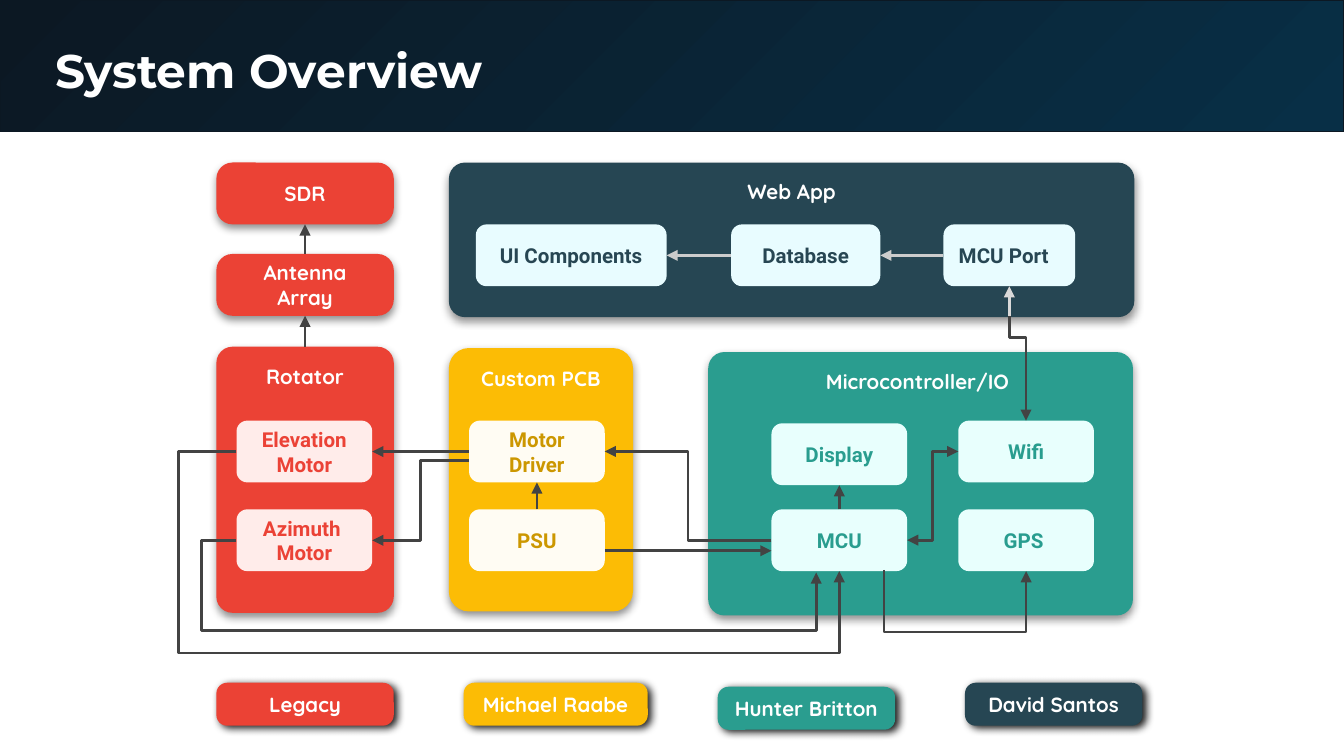
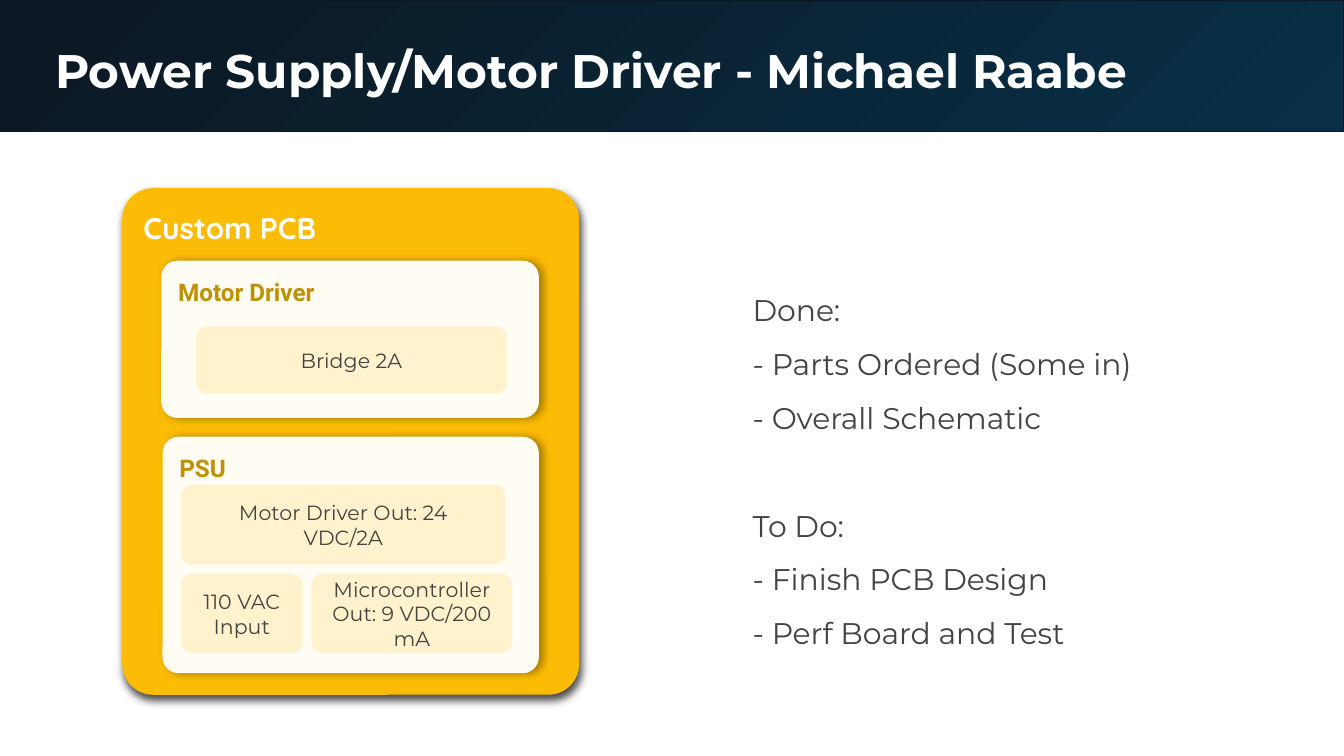
import dataclasses

import pptx
import pptx.dml.color
import pptx.enum.shapes
import pptx.enum.text
import pptx.oxml
import pptx.oxml.ns
import pptx.util

qn = pptx.oxml.ns.qn
NS = pptx.oxml.ns.nsdecls("a")
PP_ALIGN = pptx.enum.text.PP_ALIGN
ANCHOR = pptx.enum.text.MSO_ANCHOR


@dataclasses.dataclass(frozen=True)
class Theme:
    head: str = "Montserrat"
    label: str = "Quicksand"
    node: str = "Roboto"
    title_size: float = 25.2
    large: float = 16
    medium: float = 13
    small: float = 11
    white: str = "FFFFFF"
    grey: str = "434343"
    pale_grey: str = "CCCCCC"
    band_light: str = "082F46"
    band_dark: str = "0C1823"
    chip: str = "FFF2CC"
    gold: str = "BF9000"
    # panel fill, node fill, node text
    red: tuple = ("EB4235", "FFECEA", "EB4236")
    yellow: tuple = ("FCBC05", "FFFCF3", "CC9700")
    teal: tuple = ("2A9D8F", "E8FFFD", "299D8F")
    navy: tuple = ("264653", "E8FCFF", "274653")
    # shadows: opacity %, blur pt, distance pt, angle
    soft: tuple = (43, 4.5, 2.2, 84)
    hard: tuple = (89, 4.5, 2.2, 30)
    deep: tuple = (69, 4.5, 3, 70)
    side: tuple = (35, 4.5, 2.2, 0)


T = Theme()
WIDTH, HEIGHT = 100, 56.25  # grid columns and rows
NODE_W, NODE_H = 10.1, 4.6
PANEL_R, NODE_R = 1.2, 0.8  # corner radii


def cells(n):
    return pptx.util.Inches(n * 10 / WIDTH)


def rgb(value):
    return pptx.dml.color.RGBColor.from_string(value)


@dataclasses.dataclass(frozen=True)
class Box:
    x: float
    y: float
    w: float
    h: float

    def inner(self, x, y, w=NODE_W, h=NODE_H):
        """Box placed relative to this one."""
        return Box(self.x + x, self.y + y, w, h)

    def on(self, fx, fy):
        """Point at shares of this box's width and height."""
        return self.x + fx * self.w, self.y + fy * self.h

    def emu(self):
        return [cells(v) for v in (self.x, self.y, self.w, self.h)]


SLIDE = Box(0, 0, WIDTH, HEIGHT)


# Shared helpers
def write(tf, text, font=T.label, size=T.small, color=T.white, bold=True,
          align=PP_ALIGN.CENTER, anchor=ANCHOR.MIDDLE, inset=0.9,
          spacing=None, indent=None, gaps=None):
    tf.word_wrap = True
    tf.auto_size = pptx.enum.text.MSO_AUTO_SIZE.NONE
    tf.vertical_anchor = anchor
    tf.margin_left = tf.margin_right = cells(inset)
    tf.margin_top = tf.margin_bottom = cells(inset)
    for i, line in enumerate(text.split("\n")):
        p = tf.add_paragraph() if i else tf.paragraphs[0]
        if indent is not None:
            pPr = p._p.get_or_add_pPr()
            pPr.set("marL", str(cells(indent)))
            pPr.set("indent", "0")
            pPr.append(pptx.oxml.parse_xml(f"<a:buNone {NS}/>"))
        p.alignment = align
        p.space_before = pptx.util.Pt((gaps or {}).get(line, 0))
        if spacing:
            p.line_spacing = spacing
        r = p.add_run()
        r.text = line
        r.font.name, r.font.size, r.font.bold = font, pptx.util.Pt(size), bold
        r.font.color.rgb = rgb(color)


def add_shadow(sp, opacity, blur, dist, angle):
    sp._element.spPr.find(qn("a:effectLst")).append(pptx.oxml.parse_xml(
        f'<a:outerShdw {NS} blurRad="{pptx.util.Pt(blur)}" '
        f'dist="{pptx.util.Pt(dist)}" dir="{angle * 60000}" algn="bl" '
        f'rotWithShape="0"><a:srgbClr val="000000">'
        f'<a:alpha val="{opacity * 1000}"/></a:srgbClr></a:outerShdw>'))


def card(s, box, text, fill, radius=NODE_R, shadow=None, **fmt):
    sp = s.shapes.add_shape(
        pptx.enum.shapes.MSO_SHAPE.ROUNDED_RECTANGLE, *box.emu())
    sp.adjustments[0] = radius / min(box.w, box.h)
    sp.fill.solid()
    sp.fill.fore_color.rgb = rgb(fill)
    sp.line.fill.background()
    sp.shadow.inherit = False
    if shadow:
        add_shadow(sp, *shadow)
    write(sp.text_frame, text, **fmt)
    return box


def arrow(s, a, b, turns=None, color=T.grey, both=False, upright=False):
    """Arrow from a to b; turns lists where it bends, x and y in alternation."""
    kinds = pptx.enum.shapes.MSO_CONNECTOR
    (x0, y0), (x1, y1) = a, b
    dx, dy = x1 - x0, y1 - y0
    straight = not turns and min(abs(dx), abs(dy)) < 0.05
    c = s.shapes.add_connector(kinds.STRAIGHT if straight else kinds.ELBOW,
                               *[cells(v) for v in (x0, y0, x1, y1)])
    spPr = c._element.spPr
    if not straight:
        turns = turns or [(x0 + x1) / 2]
        axes = [(y0, dy)] if upright else [(x0, dx), (y0, dy), (x0, dx)]
        geom = spPr.find(qn("a:prstGeom"))
        geom.set("prst", f"bentConnector{len(turns) + 2}")
        guides = "".join(
            f'<a:gd name="adj{i}" fmla="val {round((t - start) / d * 100000)}"/>'
            for i, (t, (start, d)) in enumerate(zip(turns, axes), 1))
        for old in geom.findall(qn("a:avLst")):
            geom.remove(old)
        geom.append(pptx.oxml.parse_xml(f"<a:avLst {NS}>{guides}</a:avLst>"))
    if upright:  # rises first, then shifts left
        w, h = abs(dy), abs(dx)
        c.left, c.top = cells((x0 + x1 - w) / 2), cells((y0 + y1 - h) / 2)
        c.width, c.height = cells(w), cells(h)
        xfrm = spPr.find(qn("a:xfrm"))
        xfrm.set("rot", "5400000")
        xfrm.set("flipH", "1")
        xfrm.set("flipV", "0")
    c.line.width = pptx.util.Pt(1.5)
    c.line.color.rgb = rgb(color)
    ln = spPr.find(qn("a:ln"))
    for end in ["headEnd"] * both + ["tailEnd"]:
        ln.append(pptx.oxml.parse_xml(f'<a:{end} {NS} type="triangle"/>'))
    spPr.append(pptx.oxml.parse_xml(f"<a:effectLst {NS}/>"))


def new_slide(prs, layout, title):
    """Slide with the gradient band and its title."""
    s = prs.slides.add_slide(prs.slide_layouts[layout])
    band = s.shapes.add_shape(pptx.enum.shapes.MSO_SHAPE.RECTANGLE,
                              *SLIDE.inner(0, 0, WIDTH, 9.8).emu())
    band.fill.gradient()
    for stop, color in zip(band.fill.gradient_stops,
                           (T.band_light, T.band_dark)):
        stop.color.rgb = rgb(color)
    grad = band._element.spPr.find(qn("a:gradFill"))
    grad.replace(grad.find(qn("a:lin")), pptx.oxml.parse_xml(
        f'<a:path {NS} path="circle">'
        '<a:fillToRect l="100000" t="100000"/></a:path>'))
    band.line.color.rgb = rgb(T.band_dark)
    band.line.width = pptx.util.Pt(0.75)
    band.shadow.inherit = False
    sp = s.shapes.title
    sp._element.addprevious(band._element)
    sp.left, sp.top, sp.width, sp.height = SLIDE.inner(3.1, 2.1, 93.2, 6.3).emu()
    write(sp.text_frame, title, font=T.head, size=T.title_size,
          align=PP_ALIGN.LEFT, anchor=ANCHOR.TOP, inset=1)
    return s


# System overview
def group(s, box, title, colors, nodes, radius=PANEL_R):
    """Titled panel; each node is a label with its place in the panel."""
    fill, node_fill, ink = colors
    card(s, box, title, fill, radius, T.soft, anchor=ANCHOR.TOP)
    return [card(s, box.inner(*place), text, node_fill, font=T.node, color=ink,
                 align=PP_ALIGN.LEFT if text == "MCU Port" else PP_ALIGN.CENTER)
            for text, place in nodes]


def legend(s, box):
    for text, colors, x, y, w in [
            ("Legacy", T.red, 0, 0, 13.2),
            ("Michael Raabe", T.yellow, 18.4, 0, 13.7),
            ("Hunter Britton", T.teal, 37.3, 0.3, 13.2),
            ("David Santos", T.navy, 55.7, 0, 13.2)]:
        card(s, box.inner(x, y, w, box.h), text, colors[0], shadow=T.hard)


def overview(prs):
    s = new_slide(prs, 5, "System Overview")
    area = SLIDE.inner(16.1, 12.1, 68.3, 33.7)
    row1, row2 = 5.4, 12  # node rows of the board

    # Panels and nodes
    driver, psu = group(
        s, area.inner(17.3, 13.8, 13.7, 19.6), "Custom PCB", T.yellow,
        [("Motor Driver", (1.5, row1)), ("PSU", (1.5, row2))], 1.5)
    ui, store, port = group(
        s, area.inner(17.3, 0, 51, 11.5), "Web App", T.navy,
        [("UI Components", (2, 4.6, 14.2)), ("Database", (21, 4.6, 11.1)),
         ("MCU Port", (36.8, 4.6, 9.8))])
    display, mcu, wifi, gps = group(
        s, area.inner(36.6, 14.1, 31.6, 19.6), "Microcontroller/IO ", T.teal,
        [("Display", (4.7, 5.3)), ("MCU", (4.7, 11.7)),
         ("Wifi", (18.6, 5.1)), ("GPS ", (18.6, 11.7))])
    rotator = area.inner(0, 13.7, 13.2, 19.8)
    elevation, azimuth = group(
        s, rotator, "Rotator", T.red,
        [("Elevation Motor", (1.5, 5.5)), ("Azimuth \nMotor", (1.5, 12.1))])
    antenna, sdr = [
        card(s, area.inner(0, y, 13.2, NODE_H), text, T.red[0], PANEL_R, T.soft)
        for text, y in [("Antenna Array", 6.8), ("SDR", 0)]]
    legend(s, area.inner(0, 38.7, 68.9, 3.2))

    # Arrows
    top, bottom, left, right = (0.5, 0), (0.5, 1), (0, 0.5), (1, 0.5)
    arrow(s, antenna.on(*top), sdr.on(*bottom))
    arrow(s, rotator.on(*top), antenna.on(*bottom))
    arrow(s, driver.on(*left), elevation.on(*right))
    arrow(s, driver.on(0, 0.64), azimuth.on(*right))
    arrow(s, psu.on(*top), driver.on(*bottom))
    psu_out = psu.on(1, 0.67)
    arrow(s, psu_out, (mcu.x, psu_out[1]))
    arrow(s, elevation.on(*left), mcu.on(*bottom), turns=[13.3, 48.6])
    arrow(s, wifi.on(*top), port.on(*bottom), turns=[25.1], both=True,
          upright=True)
    arrow(s, port.on(*left), store.on(*right), color=T.pale_grey)
    arrow(s, store.on(*left), ui.on(*right), color=T.pale_grey)
    feedback = mcu.on(0.33, 1.02)
    arrow(s, azimuth.on(*left), feedback, turns=[15, 46.9, feedback[0]])
    arrow(s, (port.on(*bottom)[0], area.y + 11.4), port.on(*bottom),
          color="D9D9D9")
    gps_out = mcu.on(0.83, 0.98)
    arrow(s, gps_out, gps.on(*bottom), turns=[gps_out[0], 47.1])
    arrow(s, mcu.on(*right), wifi.on(*left), both=True)
    arrow(s, mcu.on(*left), driver.on(*right))
    arrow(s, mcu.on(*top), display.on(*bottom))


# Power supply and motor driver
def board(s, box):
    heading = dict(align=PP_ALIGN.LEFT, anchor=ANCHOR.TOP)
    card(s, box, "Custom PCB", T.yellow[0], 2.3, T.deep, size=T.large, **heading)
    for title, place, chips in [
            ("PSU", (3, 18.5, 28, 17.6),
             [("Microcontroller\nOut: 9 VDC/200 mA", (11.1, 10.2, 14.9, 5.9)),
              ("Motor Driver Out: 24 VDC/2A", (1.4, 3.6, 24.1, 5.9)),
              ("110 VAC\nInput", (1.4, 10.2, 9, 5.9))]),
            ("Motor Driver", (2.9, 5.4, 28.1, 11.7),
             [("Bridge 2A", (2.6, 4.9, 23.1, 5))])]:
        panel = card(s, box.inner(*place), title, T.yellow[1], PANEL_R, T.side,
                     font=T.node, size=T.medium, color=T.gold, **heading)
        for text, spot in chips:
            card(s, panel.inner(*spot), text, T.chip, font=T.head,
                 color=T.grey, bold=False, inset=1)


def status(s, box):
    sp = s.placeholders[1]
    sp.left, sp.top, sp.width, sp.height = box.emu()
    lines = ["Done:", "- Parts Ordered (Some in)", "- Overall Schematic",
             "To Do:", "- Finish PCB Design", "- Perf Board and Test"]
    write(sp.text_frame, "\n".join(lines), font=T.head, size=T.large,
          color=T.grey, bold=False, align=PP_ALIGN.LEFT, anchor=ANCHOR.TOP,
          inset=1, spacing=1.5, indent=5, gaps={"To Do:": 29})


def power_supply(prs):
    s = new_slide(prs, 1, "Power Supply/Motor Driver - Michael Raabe")
    status(s, SLIDE.inner(50, 19.4, 48.8, 29))
    board(s, SLIDE.inner(9.1, 14, 34, 37.7))


def main():
    prs = pptx.Presentation()
    prs.slide_width, prs.slide_height = cells(WIDTH), cells(HEIGHT)
    overview(prs)
    power_supply(prs)
    prs.save("out.pptx")


if __name__ == "__main__":
    main()
